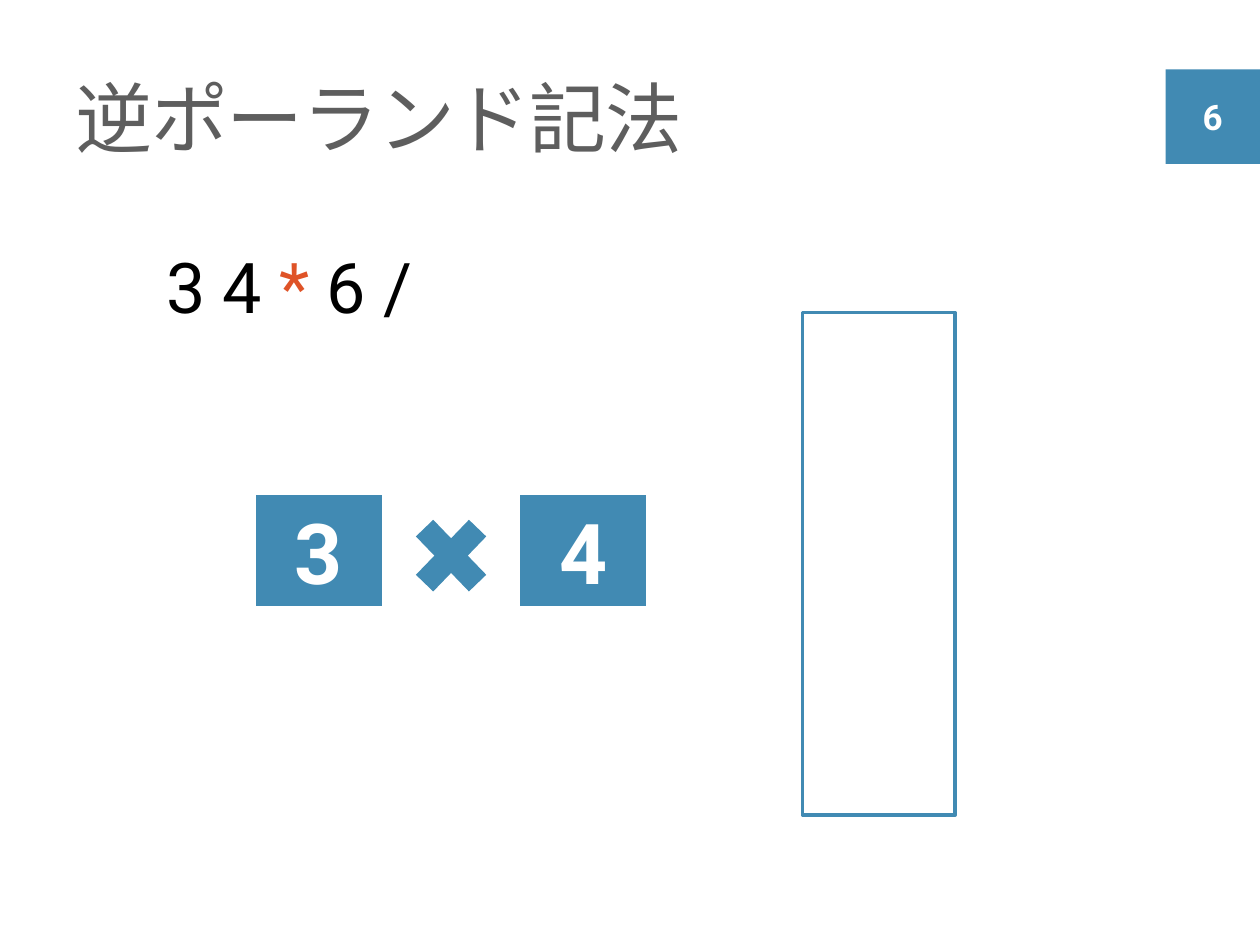
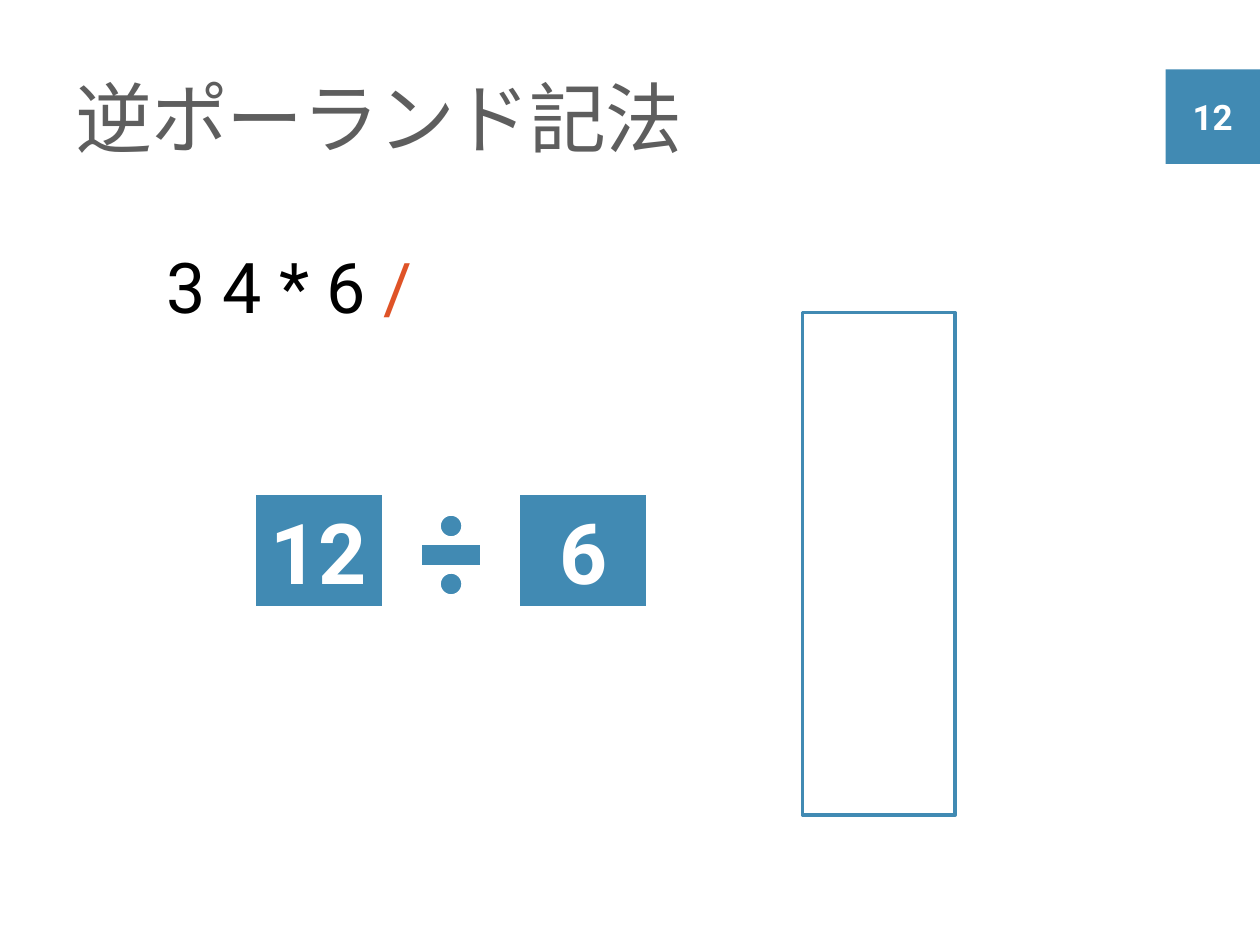
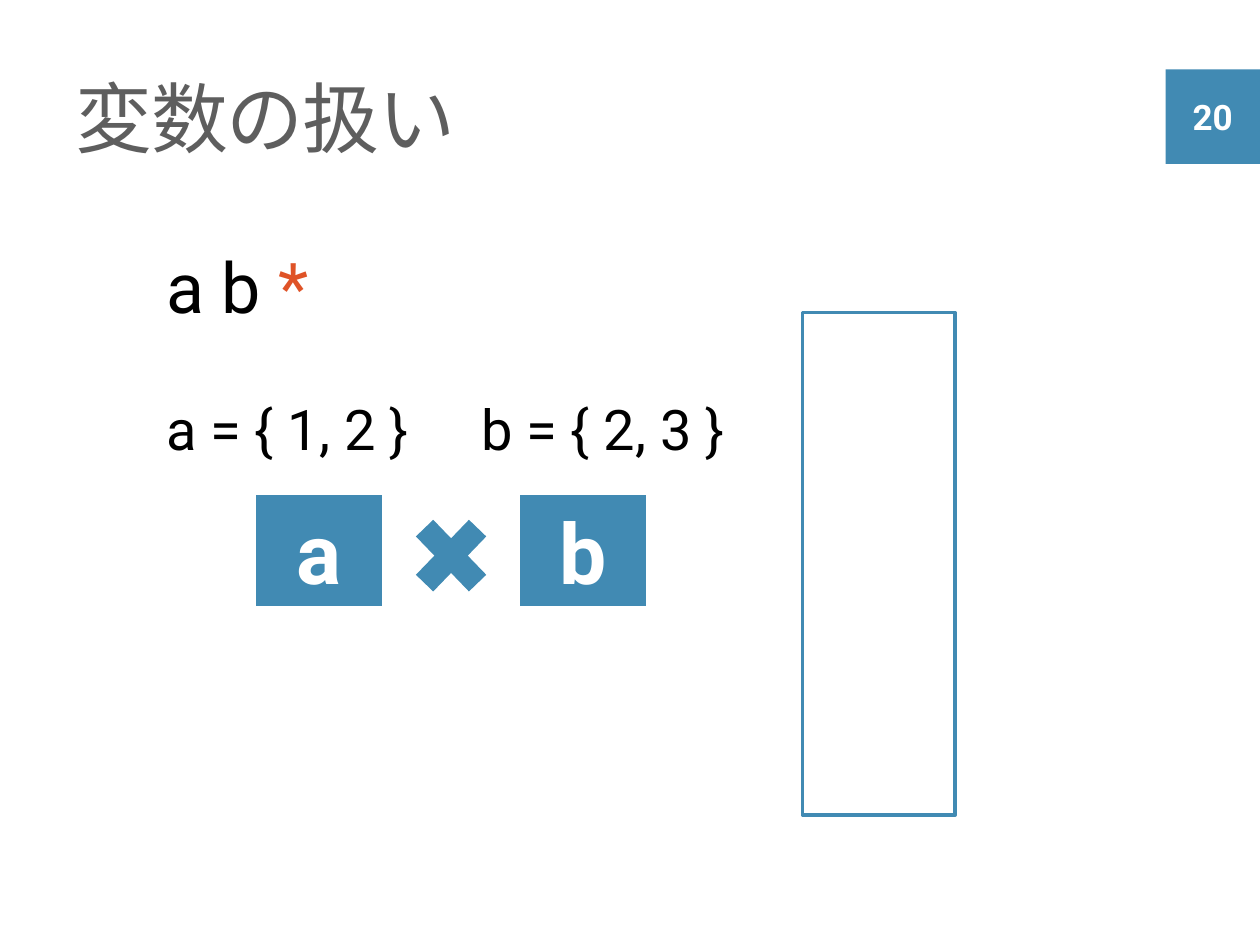
from pptx import Presentation
from pptx.dml.color import RGBColor
from pptx.enum.shapes import MSO_SHAPE as SHAPE
from pptx.enum.text import MSO_ANCHOR as ANCHOR, MSO_AUTO_SIZE as AUTO, PP_ALIGN as ALIGN
from pptx.util import Inches, Pt

BLUE = RGBColor(0x41, 0x8A, 0xB3)
GREY = RGBColor(0x5E, 0x5E, 0x5E)
ORANGE = RGBColor(0xDF, 0x53, 0x27)
BLACK = RGBColor(0, 0, 0)
WHITE = RGBColor(255, 255, 255)
FONT = "Roboto"
TITLE_ONLY = 5

# Boxes are left, top, width, height in inches
TITLE_BOX = (0.5, 0.3, 9.29, 1.25)
PAGE_BOX = (9.25, 0.55, 0.75, 0.75)
STACK_BOX = (6.37, 2.48, 1.21, 3.99)
OPERATION_BOX = (2.01, 3.91, 3.14, 0.92)
OPERAND_WIDTH = 1.04

# Operator symbol: preset, width, height, drop below the top, line width
MULTIPLY = (SHAPE.MATH_MULTIPLY, 0.81, 0.84, 0.08, 0)
DIVIDE = (SHAPE.MATH_DIVIDE, 0.68, 0.87, 0.06, 3)


def inches(box):
    return [Inches(v) for v in box]


def style(r, size, color, bold=False):
    r.font.name, r.font.size, r.font.bold = FONT, Pt(size), bold
    r.font.color.rgb = color


def add_block(s, preset, box, fill=BLUE, line=None, line_width=0):
    sp = s.shapes.add_shape(preset, *inches(box))
    sp.shadow.inherit = False
    sp.fill.solid()
    sp.fill.fore_color.rgb = fill
    if line_width:
        sp.line.color.rgb = line
        sp.line.width = Pt(line_width)
    else:
        sp.line.fill.background()
    return sp


def add_label(sp, text, size):
    tf = sp.text_frame
    tf.text = text
    tf.vertical_anchor = ANCHOR.MIDDLE
    p = tf.paragraphs[0]
    p.alignment = ALIGN.CENTER
    style(p.runs[0], size, WHITE, bold=True)


def add_title(s, box, text):
    sp = s.shapes.title
    sp.left, sp.top, sp.width, sp.height = inches(box)
    tf = sp.text_frame
    tf.text = text
    tf.auto_size = AUTO.NONE
    tf.vertical_anchor = ANCHOR.MIDDLE
    p = tf.paragraphs[0]
    p.alignment = ALIGN.LEFT
    r = p.runs[0]
    style(r, 44, GREY)
    r.font._element.set("spc", "-80")


def add_expression(s, box, parts, size):
    """Write one line of text from (text, colour) parts."""
    tf = s.shapes.add_textbox(*inches(box)).text_frame
    tf.word_wrap = False
    tf.auto_size = AUTO.SHAPE_TO_FIT_TEXT
    for text, color in parts:
        r = tf.paragraphs[0].add_run()
        r.text = text
        style(r, size, color)


def add_operation(s, box, left_value, operator, right_value):
    """Two operands at the ends of the box, the operator centred between."""
    left, top, width, height = box
    for x, value in ((left, left_value), (left + width - OPERAND_WIDTH, right_value)):
        sp = add_block(s, SHAPE.RECTANGLE, (x, top, OPERAND_WIDTH, height),
                       line=WHITE, line_width=3)
        add_label(sp, value, 48)
    preset, w, h, drop, line_width = operator
    add_block(s, preset, (left + (width - w) / 2, top + drop, w, h),
              line=WHITE, line_width=line_width)


def add_step(prs, page, title, expression, width, operation):
    s = prs.slides.add_slide(prs.slide_layouts[TITLE_ONLY])
    # Page number and title
    add_label(add_block(s, SHAPE.RECTANGLE, PAGE_BOX), page, 20)
    add_title(s, TITLE_BOX, title)
    # Empty stack
    add_block(s, SHAPE.RECTANGLE, STACK_BOX, WHITE, BLUE, 2)
    # Expression and the operation in progress
    add_expression(s, (1.22, 1.88, width, 0.77), expression, 40)
    add_operation(s, OPERATION_BOX, *operation)
    return s


prs = Presentation()
prs.slide_width, prs.slide_height = Inches(10), Inches(7.5)

add_step(prs, "6", "逆ポーランド記法",
         [("3 4 ", BLACK), ("*", ORANGE), (" 6 /", BLACK)], 2.28,
         ("3", MULTIPLY, "4"))

add_step(prs, "12", "逆ポーランド記法",
         [("3 4 * 6 ", BLACK), ("/", ORANGE)], 2.28,
         ("12", DIVIDE, "6"))

s = add_step(prs, "20", "変数の扱い",
             [("a b ", BLACK), ("*", ORANGE)], 1.42,
             ("a", MULTIPLY, "b"))
# Values of the variables
for left, width, text in ((1.22, 2.23, "a = { 1, 2 }"), (3.72, 2.34, "b = { 2, 3 }")):
    add_expression(s, (left, 3.08, width, 0.64), [(text, BLACK)], 32)

prs.save("out.pptx")
